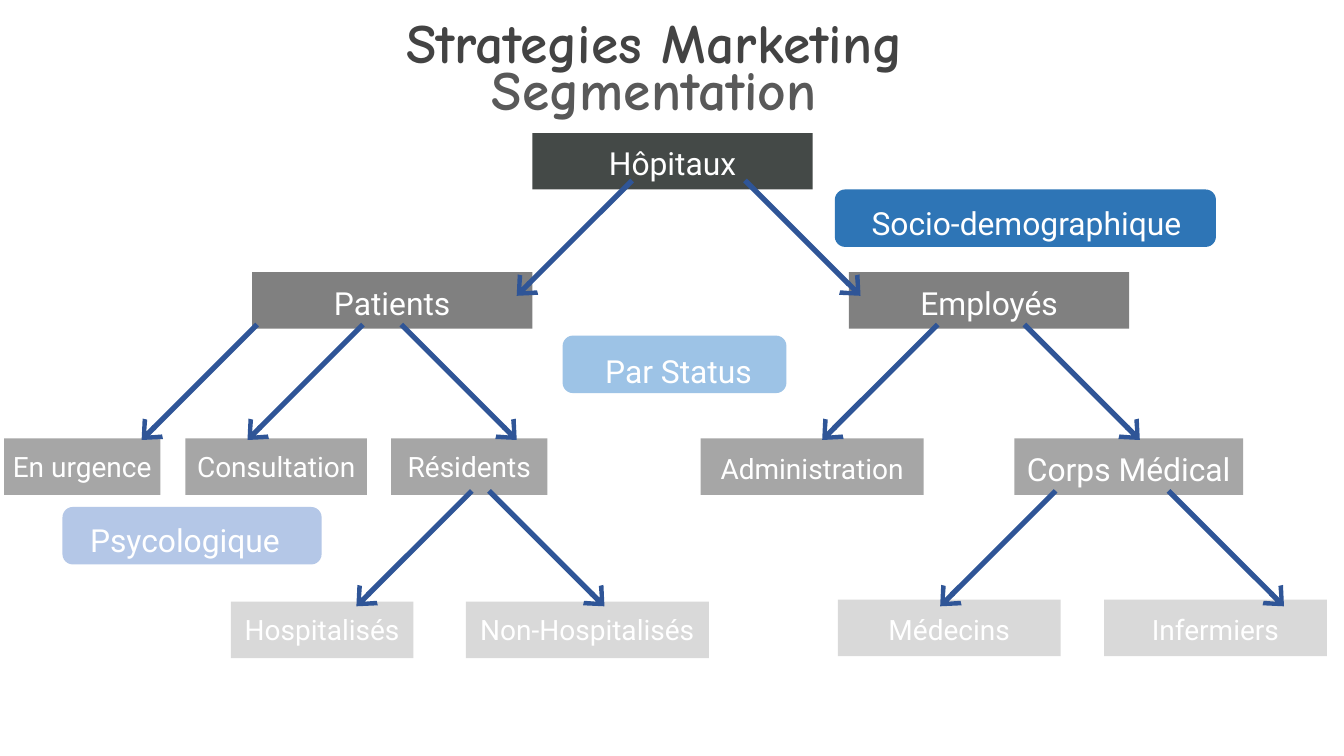
from dataclasses import dataclass

from lxml import etree
from pptx import Presentation
from pptx import util as u
from pptx.dml.color import RGBColor
from pptx.enum import shapes, text
from pptx.oxml.ns import qn

CELL = 0.1


@dataclass(frozen=True)
class Theme:
    title_font: str = "Comic Neue"
    body_font: str = "Roboto"
    title_size: float = 39.6
    large: float = 22.7
    small: float = 20
    leading: float = 1.4
    title: str = "434343"
    subtitle: str = "595959"
    label: str = "FFFFFF"
    arrow: str = "2F5597"
    levels: tuple = ("444947", "808080", "A6A6A6", "D9D9D9")
    criteria: tuple = ("2E75B6", "9DC3E6", "B4C7E7")


@dataclass(frozen=True)
class Box:
    column: float
    row: float
    columns: float
    rows: float

    def inside(self, column, row, columns, rows):
        return Box(self.column + column, self.row + row, columns, rows)

    def lengths(self):
        return [cells(n) for n in (self.column, self.row, self.columns, self.rows)]


THEME = Theme()
NODE_ROWS = 5.6
ARROW_SPAN = 11.45

NODES = [
    ("Hôpitaux", 0, 52.8, 0, 27.8, THEME.large, 0.45),
    ("Employés", 1, 84.2, 13.8, 27.8, THEME.large, 0.5),
    ("Patients", 1, 25, 13.8, 27.8, THEME.large, 0.5),
    ("En urgence", 2, 0.4, 30.3, 15.5, THEME.small, 0.5),
    ("Consultation", 2, 18.4, 30.3, 18, THEME.small, 0.5),
    ("Résidents", 2, 38.8, 30.3, 15.5, THEME.small, 0.5),
    ("Administration", 2, 69.5, 30.3, 22.1, THEME.small, 0.7),
    ("Corps Médical", 2, 100.6, 30.3, 22.7, THEME.large, 0.5),
    ("Hospitalisés", 3, 22.9, 46.5, 18.1, THEME.small, 0.5),
    ("Non-Hospitalisés", 3, 46.2, 46.5, 24.1, THEME.small, 0.5),
    ("Médecins", 3, 83.1, 46.3, 22.1, THEME.small, 0.7),
    ("Infermiers", 3, 109.5, 46.3, 22.1, THEME.small, 0.7),
]

ARROWS = [
    (4.7, [62.7], [73.9]),
    (19, [25.5, 36, 93], [39.8, 101.6]),
    (35.5, [46.8, 104.7], [48.5, 115.9]),
]

CRITERIA = [
    ("Socio-demographique", 82.8, 5.6, 37.8, 0.5, 0.2),
    ("Par Status", 55.8, 20.1, 22.2, 0.7, 0.8),
    ("Psycologique", 6.2, 37.1, 25.7, 0.4, -1.4),
]


def cells(count):
    return u.Inches(count * CELL)


def add_label_shape(slide, kind, box, fill, wording, size, top, shift=0):
    shape = slide.shapes.add_shape(kind, *box.lengths())
    shape.shadow.inherit = False
    shape.fill.solid()
    shape.fill.fore_color.rgb = RGBColor.from_string(fill)
    shape.line.fill.background()
    frame = shape.text_frame
    frame.word_wrap = True
    frame.vertical_anchor = text.MSO_ANCHOR.TOP
    frame.margin_left = cells(max(shift, 0))
    frame.margin_right = cells(max(-shift, 0))
    frame.margin_top = cells(top)
    frame.margin_bottom = 0
    frame.text = wording
    paragraph = frame.paragraphs[0]
    paragraph.alignment = text.PP_ALIGN.CENTER
    paragraph.line_spacing = u.Pt(size * THEME.leading)
    font = paragraph.runs[0].font
    font.name = THEME.body_font
    font.size = u.Pt(size)
    font.color.rgb = RGBColor.from_string(THEME.label)
    return shape


def add_arrow(slide, box, column, row, direction):
    start = box.inside(column, row, 0, 0)
    tip = start.inside(direction * ARROW_SPAN, ARROW_SPAN, 0, 0)
    arrow = slide.shapes.add_connector(
        shapes.MSO_CONNECTOR.STRAIGHT, *start.lengths()[:2], *tip.lengths()[:2]
    )
    arrow.line.color.rgb = RGBColor.from_string(THEME.arrow)
    arrow.line.width = u.Pt(3.75)
    properties = arrow.element.spPr
    line = properties.find(qn("a:ln"))
    etree.SubElement(line, qn("a:round"))
    etree.SubElement(line, qn("a:tailEnd"), type="arrow", w="lg", len="med")
    etree.SubElement(properties, qn("a:effectLst"))


def add_title(slide, box):
    title = slide.shapes.title
    title.left, title.top, title.width, title.height = box.lengths()
    frame = title.text_frame
    frame.word_wrap = True
    frame.auto_size = text.MSO_AUTO_SIZE.NONE
    frame.vertical_anchor = text.MSO_ANCHOR.TOP
    frame.text = "Strategies Marketing\vSegmentation"
    paragraph = frame.paragraphs[0]
    paragraph.alignment = text.PP_ALIGN.CENTER
    paragraph.line_spacing = 0.7
    for run, color in zip(paragraph.runs, (THEME.title, THEME.subtitle)):
        run.font.name = THEME.title_font
        run.font.size = u.Pt(THEME.title_size)
        run.font.bold = True
        run.font.color.rgb = RGBColor.from_string(color)


def add_tree(slide, box):
    for wording, level, column, row, columns, size, top in NODES:
        add_label_shape(
            slide, shapes.MSO_SHAPE.RECTANGLE,
            box.inside(column, row, columns, NODE_ROWS),
            THEME.levels[level], wording, size, top,
        )
    for row, leftward, rightward in ARROWS:
        for direction, starts in ((-1, leftward), (1, rightward)):
            for column in starts:
                add_arrow(slide, box, column, row, direction)


def add_criteria(slide, box):
    for fill, (wording, column, row, columns, top, shift) in zip(THEME.criteria, CRITERIA):
        pill = add_label_shape(
            slide, shapes.MSO_SHAPE.ROUNDED_RECTANGLE,
            box.inside(column, row, columns, NODE_ROWS + 0.1),
            fill, wording, THEME.large, top, shift,
        )
        pill.adjustments[0] = 0.18


def main():
    presentation = Presentation()
    presentation.slide_width = u.Inches(13.33)
    presentation.slide_height = u.Inches(7.5)
    slide = presentation.slides.add_slide(presentation.slide_layouts.get_by_name("Title Only"))
    diagram = Box(0, 13.2, 133.3, 52.1)
    add_title(slide, Box(9.2, 2.1, 111.4, 12.4))
    add_tree(slide, diagram)
    add_criteria(slide, diagram)
    presentation.save("out.pptx")


if __name__ == "__main__":
    main()
